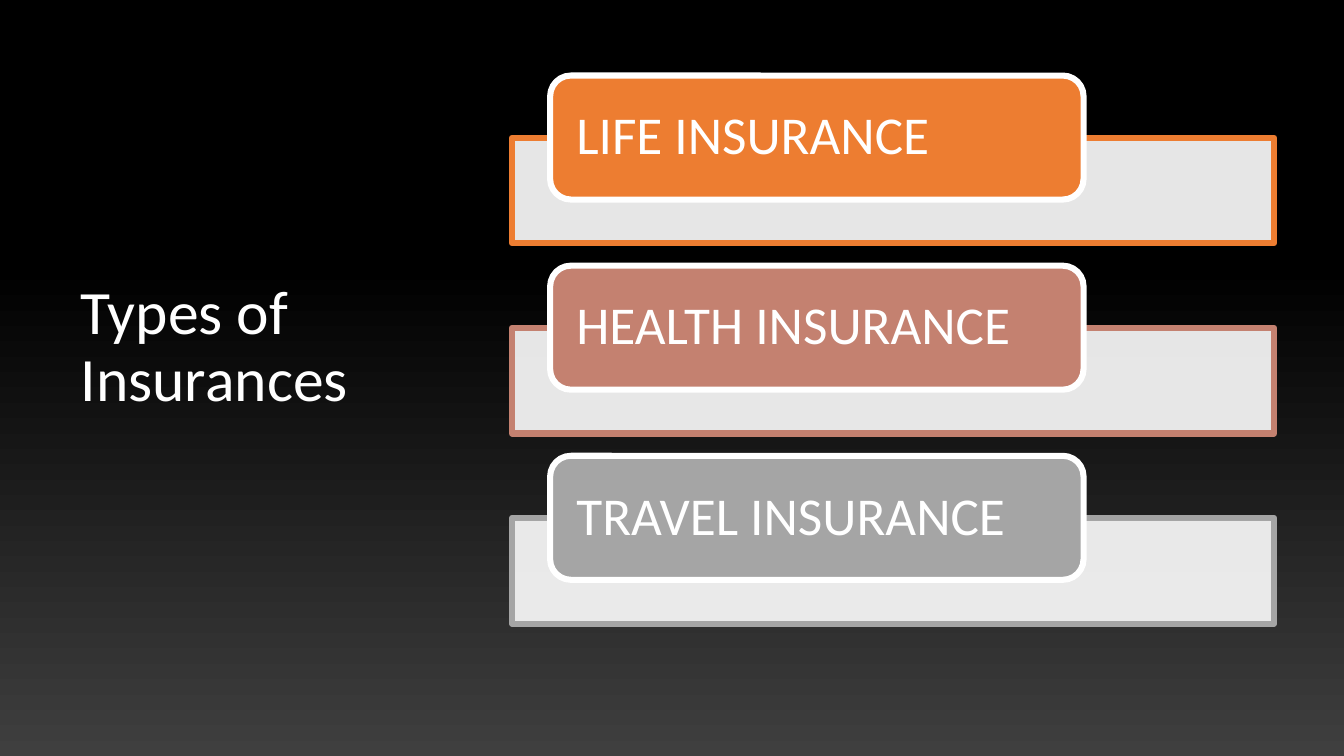
from dataclasses import dataclass

from lxml.etree import SubElement
from pptx import Presentation
from pptx.dml.color import RGBColor as RGB
from pptx.enum.shapes import MSO_SHAPE as Shape
from pptx.enum.text import MSO_ANCHOR as Anchor, MSO_AUTO_SIZE as Fit, PP_ALIGN as Align
from pptx.oxml.ns import qn
from pptx.util import Inches, Pt


@dataclass(frozen=True)
class Theme:
    font: str = "Calibri"
    white: str = "FFFFFF"
    dark: str = "000000"
    glow: str = "3F3F3F"
    head: int = 44
    label: int = 38
    edge: float = 4.33


class Deck:
    def __init__(self, theme):
        self.theme = theme
        self.prs = Presentation()
        self.prs.slide_width, self.prs.slide_height = Inches(13.33), Inches(7.5)
        self.slide = self.prs.slides.add_slide(self.prs.slide_layouts[5])

    def frame(self, left, top, width, height):
        """Turn percentages of the slide's size into lengths."""
        wide, high = self.prs.slide_width, self.prs.slide_height
        return [round(share * side / 100) for share, side in
                ((left, wide), (top, high), (width, wide), (height, high))]

    def backdrop(self):
        fill = self.slide.background.fill
        fill.gradient()
        fill.gradient_angle = 90
        stops = ((0, self.theme.glow), (0.65, self.theme.dark))
        for stop, (place, color) in zip(fill.gradient_stops, stops):
            stop.position = place
            stop.color.rgb = RGB.from_string(color)

    def label(self, shape, text, size):
        box = shape.text_frame
        box.word_wrap, box.auto_size = True, Fit.NONE
        box.vertical_anchor = Anchor.MIDDLE
        para = box.paragraphs[0]
        para.alignment, para.line_spacing = Align.LEFT, 0.9
        run = para.add_run()
        run.text = text
        run.font.name, run.font.size = self.theme.font, Pt(size)
        run.font.color.rgb = RGB.from_string(self.theme.white)

    def title(self, text, *area):
        head = self.slide.shapes.title
        head.left, head.top, head.width, head.height = self.frame(*area)
        self.label(head, text, self.theme.head)

    def block(self, kind, fill, line, *area):
        shape = self.slide.shapes.add_shape(kind, *self.frame(*area))
        shape.shadow.inherit = False
        shape.fill.solid()
        shape.fill.fore_color.rgb = RGB.from_string(fill)
        shape.line.color.rgb = RGB.from_string(line)
        shape.line.width = Pt(self.theme.edge)
        return shape

    def band(self, color, *area):
        shape = self.block(Shape.RECTANGLE, self.theme.white, color, *area)
        tint = shape.element.spPr.find(qn("a:solidFill")).find(qn("a:srgbClr"))
        SubElement(tint, qn("a:alpha")).set("val", "90000")

    def tab(self, text, color, *area):
        shape = self.block(Shape.ROUNDED_RECTANGLE, color, self.theme.white, *area)
        box = shape.text_frame
        box.margin_left = box.margin_right = Inches(0.2)
        box.margin_top = box.margin_bottom = 0
        self.label(shape, text, self.theme.label)


def main():
    deck = Deck(Theme())
    deck.backdrop()
    deck.title("Types of Insurances", 5.25, 9.2, 27.68, 73.73)

    left, width = 38.1, 56.7
    first, step = 10, 25.15
    kinds = (("LIFE INSURANCE", "ED7D31"),
             ("HEALTH INSURANCE", "C48170"),
             ("TRAVEL INSURANCE", "A5A5A5"))
    for row, (text, color) in enumerate(kinds):
        top = first + row * step
        deck.band(color, left, top + 8.2, width, 14)
        deck.tab(text, color, left + width * 0.05, top, width * 0.7, 16.4)

    deck.prs.save("out.pptx")


if __name__ == "__main__":
    main()
